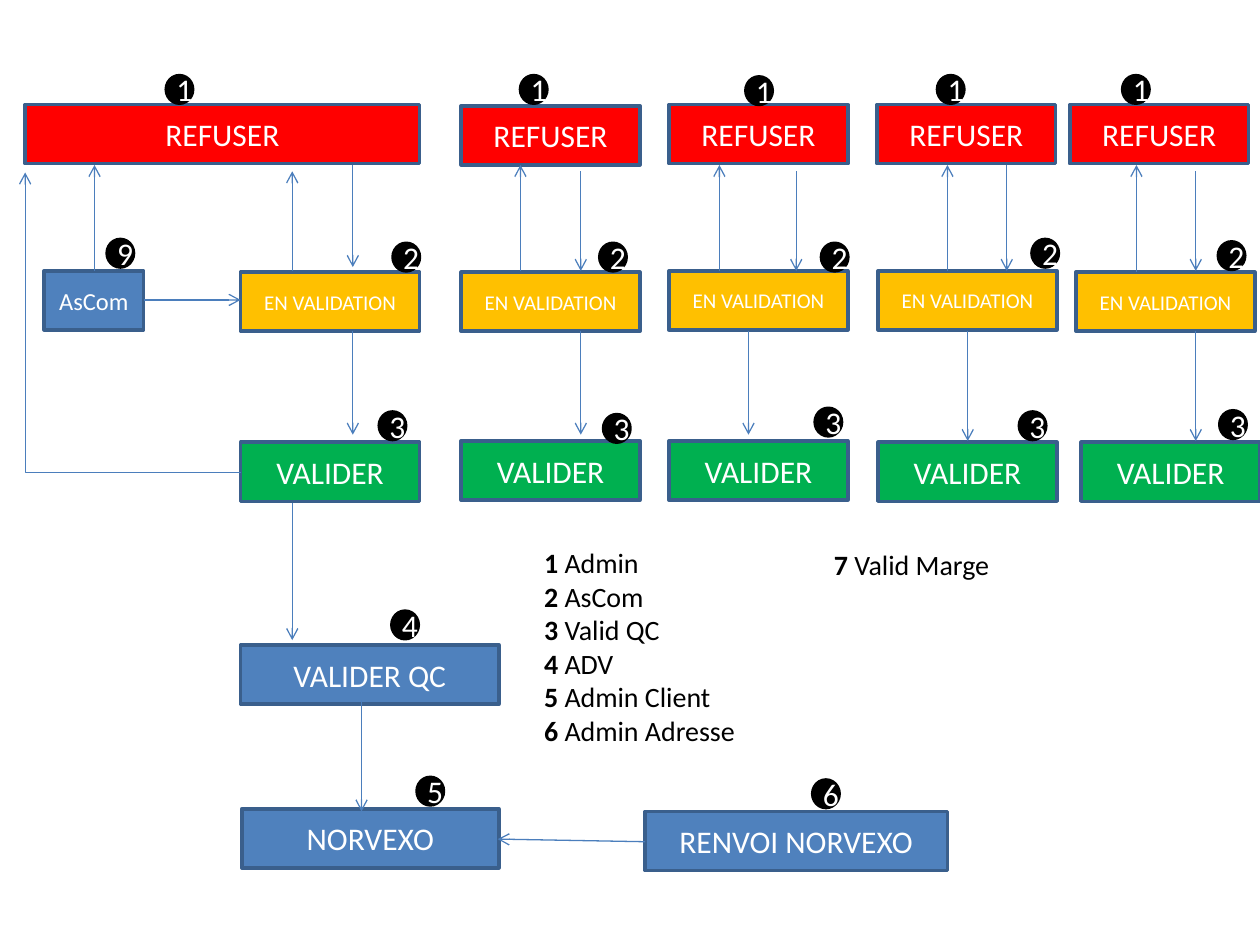
"""Build a slide showing the validation workflow and its numbered roles."""
from lxml import etree
from pptx import Presentation
from pptx import util as u
from pptx.dml.color import RGBColor
from pptx.enum import shapes, text
from pptx.oxml import ns

Pt = u.Pt
RED = RGBColor(0xFF, 0x00, 0x00)
AMBER = RGBColor(0xFF, 0xC0, 0x00)
GREEN = RGBColor(0x00, 0xB0, 0x50)
BLUE = RGBColor(0x4F, 0x81, 0xBD)
EDGE = RGBColor(0x3A, 0x5F, 0x8C)
WIRE = RGBColor(0x4B, 0x7E, 0xBC)
BLACK = RGBColor(0x00, 0x00, 0x00)
WHITE = RGBColor(0xFF, 0xFF, 0xFF)
RECT, OVAL = shapes.MSO_SHAPE.RECTANGLE, shapes.MSO_SHAPE.OVAL
STRAIGHT, ELBOW = shapes.MSO_CONNECTOR.STRAIGHT, shapes.MSO_CONNECTOR.ELBOW

deck = Presentation()
deck.slide_width, deck.slide_height = Pt(720), Pt(540)
slide = deck.slides.add_slide(deck.slide_layouts[6])


def add_node(kind, label, left, top, width, height, fill, edge, size=18):
    node = slide.shapes.add_shape(kind, Pt(left), Pt(top), Pt(width), Pt(height))
    node.shadow.inherit = False
    node.fill.solid()
    node.fill.fore_color.rgb = fill
    node.line.color.rgb = edge
    node.line.width = Pt(2)
    frame = node.text_frame
    frame.text = label
    frame.vertical_anchor = text.MSO_ANCHOR.MIDDLE
    para = frame.paragraphs[0]
    para.alignment = text.PP_ALIGN.CENTER
    font = para.runs[0].font
    font.name, font.size, font.color.rgb = "Calibri", Pt(size), WHITE


def add_arrow(kind, x1, y1, x2, y2):
    arrow = slide.shapes.add_connector(kind, Pt(x1), Pt(y1), Pt(x2), Pt(y2))
    arrow.line.color.rgb = WIRE
    arrow.line.width = Pt(0.75)
    line = arrow.line._get_or_add_ln()
    etree.SubElement(line, ns.qn("a:tailEnd"), type="arrow")
    etree.SubElement(arrow._element.spPr, ns.qn("a:effectLst"))
    return arrow


states = [
    ("REFUSER", RED, 18, [(14.4, 59.8), (263.5, 60.5), (382.3, 59.8), (501.1, 59.8), (611.3, 59.8)]),
    ("EN VALIDATION", AMBER, 12, [(137.5, 155.5), (263.5, 155.5), (382.3, 154.8), (501.8, 154.8), (614.9, 155.5)]),
    ("VALIDER", GREEN, 18, [(137.5, 252.7), (263.5, 252), (382.3, 252), (501.8, 252.7), (617.8, 252.7)]),
]
for label, fill, size, spots in states:
    for left, top in spots:
        width = 225.4 if left == 14.4 else 102.2
        add_node(RECT, label, left, top, width, 33.8, fill, EDGE, size)

steps = [
    ("AsCom", 25.2, 154.8, 56.9, 14),
    ("VALIDER QC", 137.5, 368.6, 147.6, 18),
    ("NORVEXO", 138.2, 462.2, 146.9, 18),
    ("RENVOI NORVEXO", 368.6, 463.7, 172.8, 18),
]
for label, left, top, width, size in steps:
    add_node(RECT, label, left, top, width, 33.8, BLUE, EDGE, size)

drops = [
    (54, 154.8, 94.3), (167, 154.8, 97.9), (297.4, 154.8, 94.3),
    (411.1, 154.8, 94.3), (541.4, 154.8, 94.3), (649.4, 155.5, 94.3),
    (201.6, 94.3, 152.6), (331.9, 97.9, 154.8), (455, 97.9, 154.8),
    (575.3, 94.3, 154.8), (683.3, 97.9, 154.8),
    (201.6, 189.4, 248.4), (331.9, 189.4, 248.4), (427.7, 189.4, 248.4),
    (553, 189.4, 252), (683.3, 189.4, 252),
    (167, 287.3, 365.8), (206.6, 400.3, 463.7),
]
for x, start, end in drops:
    add_arrow(STRAIGHT, x, start, x, end)
add_arrow(STRAIGHT, 82.1, 171.4, 137.5, 171.4)
add_arrow(STRAIGHT, 368.6, 481, 284.4, 479.5)
bend = add_arrow(ELBOW, 137.5, 270, 14.4, 98.6)
bend._element.spPr.find(ns.qn("a:prstGeom")).set("prst", "bentConnector2")

badges = {
    "1": [(95, 43.2), (297.4, 43.2), (426.2, 43.9), (535.7, 43.2), (641.5, 43.2)],
    "2": [(224.6, 139), (342.7, 139), (469.4, 139), (589.7, 136.8), (696.2, 138.2)],
    "3": [(216.7, 235.4), (344.9, 236.9), (465.8, 233.3), (582.5, 235.4), (697, 234.7)],
    "4": [(223.9, 349.2)],
    "5": [(238.3, 444.2)],
    "6": [(464.4, 445.7)],
    "9": [(61.2, 136.8)],
}
for digit, spots in badges.items():
    for left, top in spots:
        add_node(OVAL, digit, left, top, 15.1, 15.8, BLACK, BLACK)

roles = ["Admin", "AsCom", "Valid QC", "ADV", "Admin Client", "Admin Adresse", "Valid Marge"]
pairs = list(enumerate(roles, 1))
for left, top, height, part in [(303.8, 308.2, 123.8, pairs[:6]), (469.4, 309.6, 26.6, pairs[6:])]:
    box = slide.shapes.add_textbox(Pt(left), Pt(top), Pt(128.9), Pt(height))
    frame = box.text_frame
    frame.word_wrap = True
    for index, (digit, role) in enumerate(part):
        para = frame.add_paragraph() if index else frame.paragraphs[0]
        for words, bold in [(f"{digit} ", True), (role, False)]:
            run = para.add_run()
            run.text = words
            font = run.font
            font.name, font.size, font.bold = "Calibri", Pt(16), bold
            font.color.rgb = BLACK

deck.save("out.pptx")
